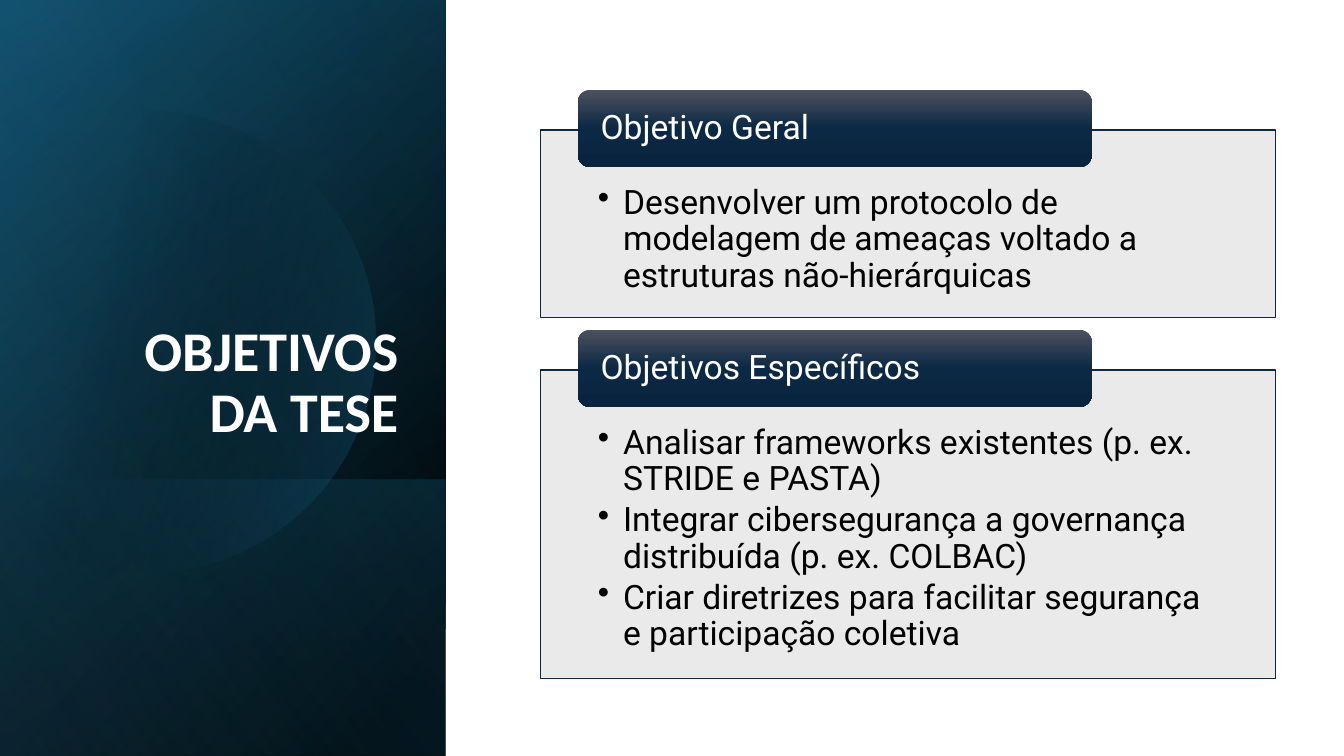
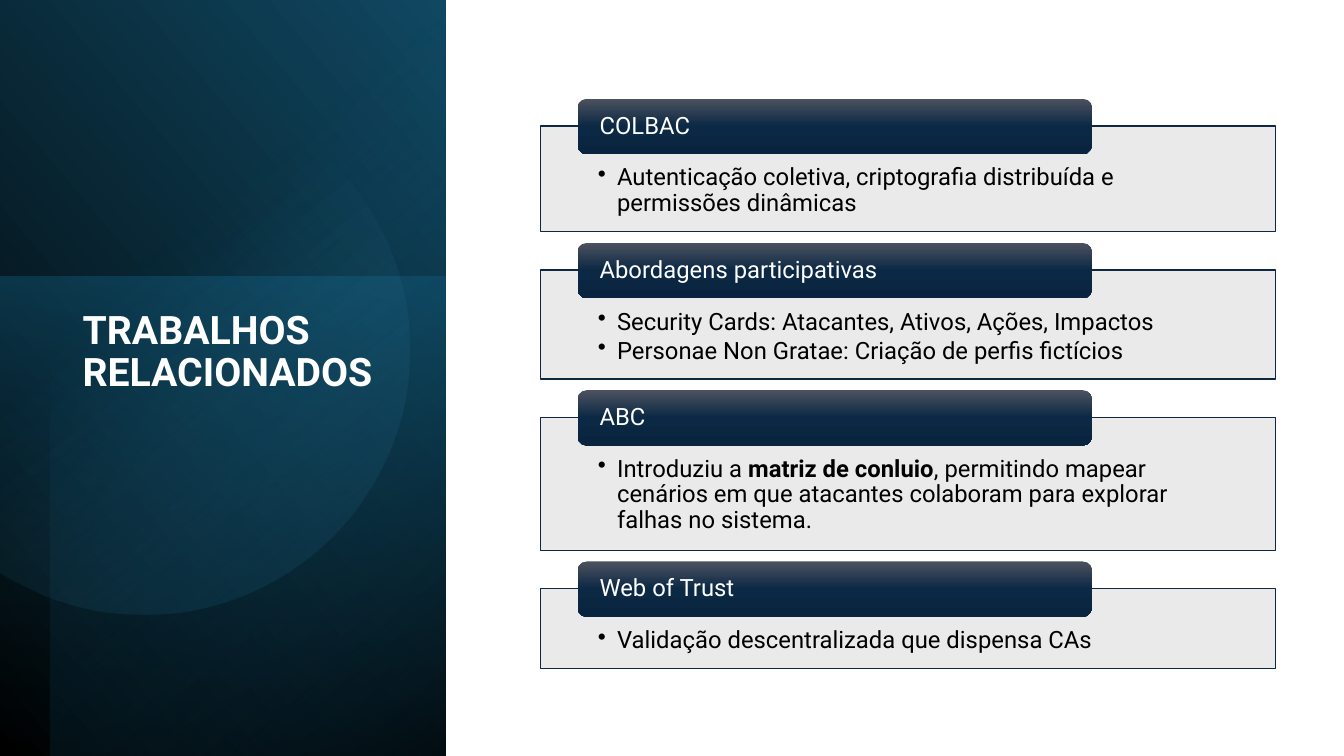
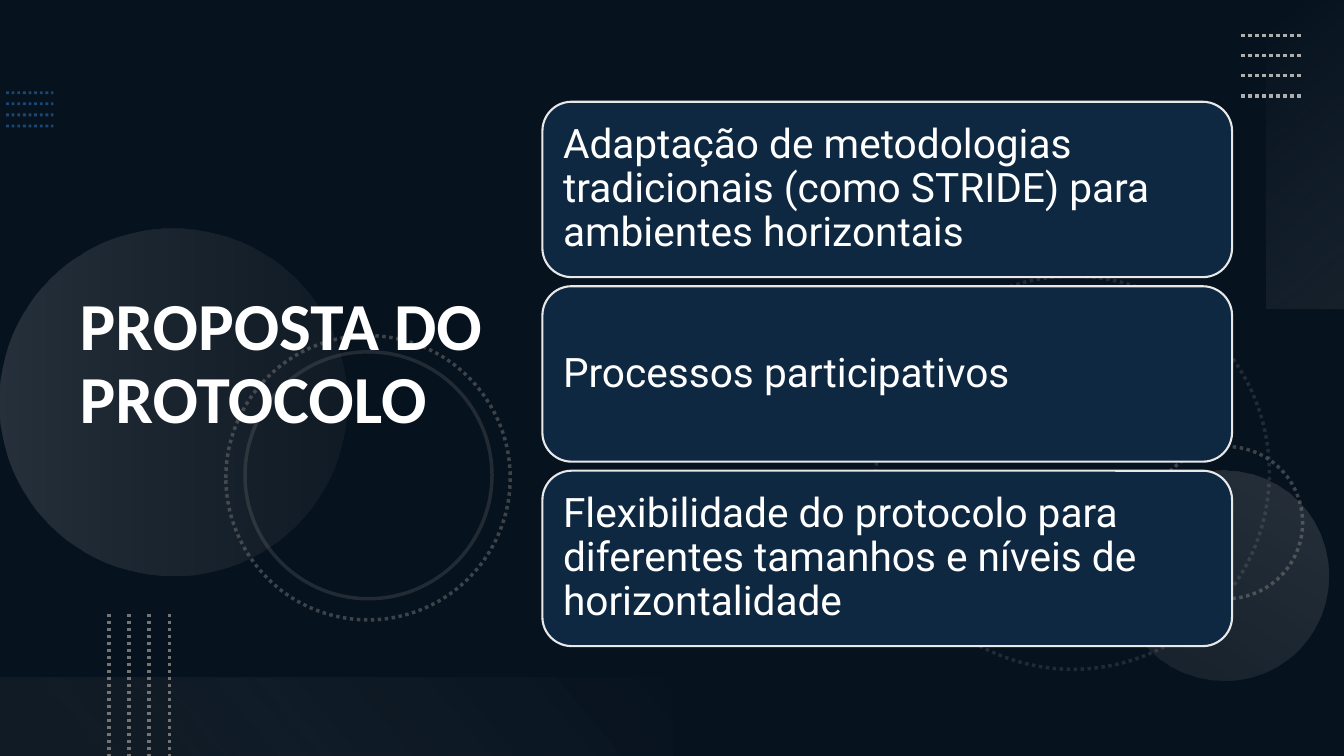
from math import acos, cos, sin

from lxml.etree import SubElement
from pptx import Presentation
from pptx.dml.color import RGBColor
from pptx.enum.dml import MSO_LINE
from pptx.enum.shapes import MSO_CONNECTOR, MSO_SHAPE
from pptx.enum.text import MSO_ANCHOR, MSO_AUTO_SIZE, PP_ALIGN
from pptx.oxml.ns import qn
from pptx.oxml.xmlchemy import OxmlElement
from pptx.util import Inches, Pt

COLORS = {
    "white": "FFFFFF", "black": "000000", "navy": "0E2841", "card": "E8E8E8",
    "deep": "104862", "teal": "156082", "dark_teal": "0B3041", "sky": "46B1E1",
    "header_top": "4C525F", "header_middle": "0B2844", "header_end": "08243E",
    "blue": "2D7FCF", "gray": "747474", "silver": "AEAEAE",
    "pale": "F1F1F1", "paler": "F6F6F6",
}
HEADER_STOPS = [(0, "header_top", 100), (50, "header_middle", 100), (100, "header_end", 100)]
PANEL_WIDTH = 4.42


def paint(shape, stops=(), angle=0, line=None, width=1, dash=None, line_alpha=100):
    """Set fill, line and no shadow; stops are (position, color, opacity), one stop is a solid fill."""
    properties = shape._element.spPr
    if stops:
        shape.fill.solid()
        solid = properties.find(qn("a:solidFill"))
        fill = OxmlElement("a:solidFill" if len(stops) == 1 else "a:gradFill")
        stop_list = fill if len(stops) == 1 else SubElement(fill, qn("a:gsLst"))
        for position, color, alpha in stops:
            parent = stop_list
            if len(stops) > 1:
                parent = SubElement(stop_list, qn("a:gs"), pos=str(position * 1000))
            value = SubElement(parent, qn("a:srgbClr"), val=COLORS[color])
            SubElement(value, qn("a:alpha"), val=str(alpha * 1000))
        if len(stops) > 1:
            SubElement(fill, qn("a:lin"), ang=str(angle * 60000), scaled="0")
        properties.replace(solid, fill)
    elif hasattr(shape, "fill"):
        shape.fill.background()
    if line:
        shape.line.color.rgb = RGBColor.from_string(COLORS[line])
        shape.line.width = Pt(width)
        if dash:
            shape.line.dash_style = dash
        value = properties.find(qn("a:ln")).find(".//" + qn("a:srgbClr"))
        SubElement(value, qn("a:alpha"), val=str(line_alpha * 1000))
    else:
        shape.line.fill.background()
    SubElement(properties, qn("a:effectLst"))


def write_text(shape, *texts, size, font="Roboto", color="white", bold=False,
               align=PP_ALIGN.LEFT, anchor=MSO_ANCHOR.MIDDLE,
               insets=(0.1, 0.05, 0.1, 0.05), bullet_indent=0, space_after=0):
    """Write one paragraph per text; words between ** are bold."""
    frame = shape.text_frame
    frame.word_wrap = True
    frame.auto_size = MSO_AUTO_SIZE.NONE
    frame.vertical_anchor = anchor
    frame.margin_left, frame.margin_top, frame.margin_right, frame.margin_bottom = map(Inches, insets)
    for number, text in enumerate(texts):
        paragraph = frame.add_paragraph() if number else frame.paragraphs[0]
        paragraph.alignment = align
        paragraph.line_spacing = 0.9
        paragraph.space_after = Pt(space_after)
        if bullet_indent:
            paragraph_properties = paragraph._p.get_or_add_pPr()
            paragraph_properties.set("marL", str(Inches(bullet_indent)))
            paragraph_properties.set("indent", str(-Inches(bullet_indent)))
            SubElement(paragraph_properties, qn("a:buChar"), char="•")
        for index, part in enumerate(text.split("**")):
            run = paragraph.add_run()
            run.text = part
            run.font.name = font
            run.font.size = Pt(size)
            run.font.bold = bold or index % 2 == 1
            run.font.color.rgb = RGBColor.from_string(COLORS[color])


presentation = Presentation()
presentation.slide_width = Inches(13.33)
presentation.slide_height = Inches(7.5)

# Slides with a dark side panel and a stack of cards
panel_slides = [
    {
        "title": "OBJETIVOS DA TESE", "title_box": (0.64, 1.84, 3.41, 2.62),
        "title_format": dict(size=40, font="Calibri", align=PP_ALIGN.RIGHT, anchor=MSO_ANCHOR.BOTTOM),
        "layers": [
            ((0, 0, PANEL_WIDTH, 7.5), [(8, "black", 100), (100, "deep", 100)], 220),
            ((0, 0, PANEL_WIDTH, 7.5), [(0, "black", 0), (99, "teal", 46)], 240),
            ((0, 4.76, PANEL_WIDTH, 2.74), [(2, "teal", 29), (100, "black", 30)], 140),
        ],
        "disc": (1.43, 3.39, 2.29, [(29, "black", 0), (100, "teal", 43)], 14),
        "glow": [((0, 0, PANEL_WIDTH, 7.5), [(0, "black", 0), (99, "sky", 11)], 150)],
        "size": 24, "indent": 0.25, "insets": (0.57, 0.55, 0.57, 0.19),
        "top": 0.89, "header_height": 0.77, "drop": 0.4, "gap": 0.12,
        "cards": [
            ("Objetivo Geral", 1.86,
             ["Desenvolver um protocolo de modelagem de ameaças voltado a estruturas não-hierárquicas"]),
            ("Objetivos Específicos", 3.06,
             ["Analisar frameworks existentes (p. ex. STRIDE e PASTA)",
              "Integrar cibersegurança a governança distribuída (p. ex. COLBAC)",
              "Criar diretrizes para facilitar segurança e participação coletiva"]),
        ],
    },
    {
        "title": "TRABALHOS RELACIONADOS", "title_box": (0.72, 3.03, 3.15, 3.36),
        "title_format": dict(size=28, anchor=MSO_ANCHOR.TOP),
        "layers": [
            ((0, 0, PANEL_WIDTH, 7.5), [(0, "black", 100), (100, "deep", 100)], 320),
            ((0, 2.74, PANEL_WIDTH, 4.76), [(0, "teal", 50), (100, "dark_teal", 0)], 100),
            ((0.5, 0, 3.92, 7.5), [(0, "black", 59), (69, "teal", 0)], 230),
        ],
        "disc": (1.43, 3.47, 2.63, [(39, "sky", 0), (100, "deep", 26)], 52),
        "glow": [],
        "size": 17, "indent": 0.19, "insets": (0.57, 0.39, 0.57, 0.13),
        "top": 0.98, "header_height": 0.55, "drop": 0.27, "gap": 0.11,
        "cards": [
            ("COLBAC", 1.05,
             ["Autenticação coletiva, criptografia distribuída e permissões dinâmicas"]),
            ("Abordagens participativas", 1.08,
             ["Security Cards: Atacantes, Ativos, Ações, Impactos",
              "Personae Non Gratae: Criação de perfis fictícios"]),
            ("ABC", 1.32,
             ["Introduziu a **matriz de conluio**, permitindo mapear cenários em que atacantes "
              "colaboram para explorar falhas no sistema."]),
            ("Web of Trust", 0.79, ["Validação descentralizada que dispensa CAs"]),
        ],
    },
]

for content in panel_slides:
    slide = presentation.slides.add_slide(presentation.slide_layouts[5])
    shapes = slide.shapes
    for box, stops, angle in content["layers"]:
        paint(shapes.add_shape(MSO_SHAPE.RECTANGLE, *map(Inches, box)), stops, angle)

    # Disc cut off by the left edge of the slide
    center_x, center_y, radius, stops, angle = content["disc"]
    edge_angle = acos(-center_x / radius)
    arc = []
    for step in range(91):
        turn = edge_angle * (step / 45 - 1)
        arc.append((Inches(center_x + radius * cos(turn)), Inches(center_y + radius * sin(turn))))
    builder = shapes.build_freeform(*arc[0])
    builder.add_line_segments(arc[1:], close=True)
    paint(builder.convert_to_shape(), stops, angle)

    for box, stops, angle in content["glow"]:
        paint(shapes.add_shape(MSO_SHAPE.RECTANGLE, *map(Inches, box)), stops, angle)

    title = shapes.title
    title.left, title.top, title.width, title.height = map(Inches, content["title_box"])
    write_text(title, content["title"], bold=True, **content["title_format"])
    shapes._spTree.append(title._element)

    top = content["top"]
    size = content["size"]
    for heading, height, items in content["cards"]:
        body_top = top + content["drop"]
        body = shapes.add_shape(MSO_SHAPE.RECTANGLE, Inches(5.36), Inches(body_top),
                                Inches(7.29), Inches(height))
        paint(body, [(0, "card", 90)], line="navy")
        write_text(body, *items, size=size, color="black", anchor=MSO_ANCHOR.TOP,
                   insets=content["insets"], bullet_indent=content["indent"],
                   space_after=round(size * 0.15, 1))
        header = shapes.add_shape(MSO_SHAPE.ROUNDED_RECTANGLE, Inches(5.73), Inches(top),
                                  Inches(5.1), Inches(content["header_height"]))
        paint(header, HEADER_STOPS, 90)
        write_text(header, heading, size=size, insets=(0.19, 0, 0.19, 0))
        top = body_top + height + content["gap"]

# Proposal slide
slide = presentation.slides.add_slide(presentation.slide_layouts[5])
shapes = slide.shapes
slide.background.fill.solid()
slide.background.fill.fore_color.rgb = RGBColor.from_string(COLORS["navy"])

rectangle, oval = MSO_SHAPE.RECTANGLE, MSO_SHAPE.OVAL
dotted = MSO_LINE.ROUND_DOT
decorations = [
    (rectangle, (0, 0, 13.33, 7.5), dict(stops=[(0, "black", 53)])),
    (oval, (8.69, 2.74, 3.9, 3.9), dict(line="gray", width=2.5, dash=dotted, line_alpha=25)),
    (oval, (11.41, 4.43, 1.51, 1.51), dict(line="gray", width=2.5, dash=dotted, line_alpha=50)),
    (oval, (0, 2.27, 3.44, 3.44), dict(stops=[(0, "silver", 20), (100, "gray", 10)])),
    (oval, (11.1, 4.67, 2.08, 2.08), dict(stops=[(0, "silver", 10), (100, "silver", 20)], angle=300)),
    (oval, (2.24, 3.33, 2.82, 2.82), dict(line="gray", width=2.5, dash=dotted, line_alpha=50)),
    (oval, (2.43, 3.49, 2.45, 2.45), dict(line="gray", width=2.5, line_alpha=25)),
    (rectangle, (12.56, 0, 0.78, 3.06), dict(stops=[(0, "paler", 0), (100, "silver", 10)], angle=50)),
    (rectangle, (0, 6.72, 6.67, 0.78), dict(stops=[(10, "gray", 10), (100, "pale", 0)], angle=320)),
]
for kind, box, style in decorations:
    paint(shapes.add_shape(kind, *map(Inches, box)), **style)

# Each set has four dotted lines: first line, step to the next one, style
line_sets = [
    ((0.06, 0.92, 0.53, 0.92), (0, 0.11), dict(line="blue", width=2, line_alpha=50)),
    ((12.31, 0.35, 12.91, 0.35), (0, 0.2), dict(line="silver", width=2.5)),
    ((1.08, 6.09, 1.08, 7.5), (0.2, 0), dict(line="gray", width=2.5)),
]
for (x1, y1, x2, y2), (step_x, step_y), style in line_sets:
    for index in range(4):
        shift_x, shift_y = index * step_x, index * step_y
        connector = shapes.add_connector(
            MSO_CONNECTOR.STRAIGHT, Inches(x1 + shift_x), Inches(y1 + shift_y),
            Inches(x2 + shift_x), Inches(y2 + shift_y))
        paint(connector, dash=dotted, **style)

title = shapes.title
title.left, title.top, title.width, title.height = map(Inches, (0.69, 0.54, 4.59, 6.17))
write_text(title, "PROPOSTA DO PROTOCOLO", size=48, font="Calibri", bold=True)
shapes._spTree.append(title._element)

proposals = [
    "Adaptação de metodologias tradicionais (como STRIDE) para ambientes horizontais",
    "Processos participativos",
    "Flexibilidade do protocolo para diferentes tamanhos e níveis de horizontalidade",
]
for index, proposal in enumerate(proposals):
    box = shapes.add_shape(MSO_SHAPE.ROUNDED_RECTANGLE, Inches(5.38), Inches(1.01 + index * 1.83),
                           Inches(6.84), Inches(1.74))
    paint(box, [(0, "navy", 100)], line="card", width=1.5)
    write_text(box, proposal, size=29, insets=(0.12, 0.12, 0.12, 0.12))

presentation.save("out.pptx")
